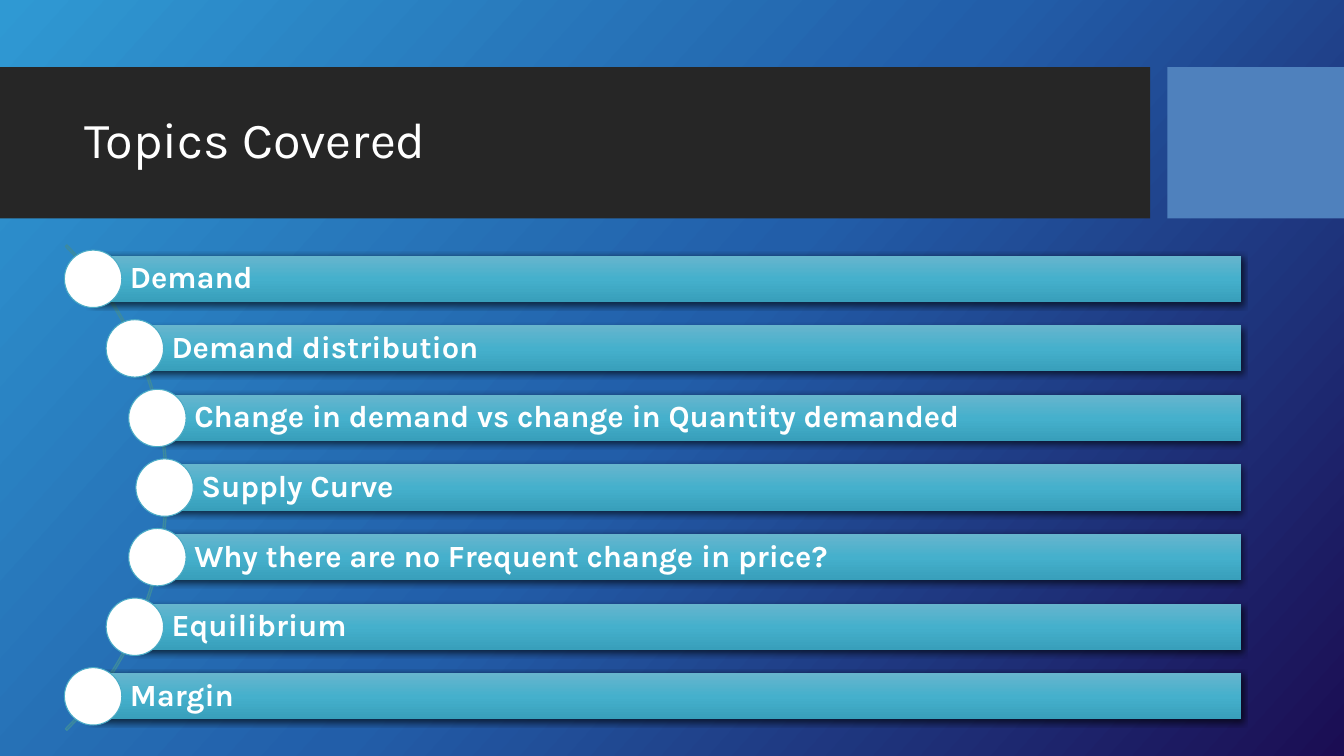
from copy import deepcopy
from dataclasses import dataclass
from math import sqrt

from lxml import etree
from pptx import Presentation
from pptx.dml.color import RGBColor
from pptx.enum.shapes import MSO_SHAPE
from pptx.enum.text import MSO_ANCHOR, PP_ALIGN
from pptx.oxml.ns import qn
from pptx.shapes.autoshape import Shape
from pptx.slide import Slide
from pptx.text.text import TextFrame
from pptx.util import Pt

RECTANGLE = MSO_SHAPE.RECTANGLE
OVAL = MSO_SHAPE.OVAL
BLOCK_ARC = MSO_SHAPE.BLOCK_ARC
LEFT = PP_ALIGN.LEFT
MIDDLE = MSO_ANCHOR.MIDDLE
TITLE_ONLY_LAYOUT = 5


@dataclass(frozen=True)
class Theme:
    font: str = "Karla"
    title_size: float = 36
    topic_size: float = 22
    text: str = "FFFFFF"
    band: str = "262626"
    accent: str = "4F81BD"
    arc_line: str = "3C8A9F"
    dot_fill: str = "FFFFFF"
    dot_line: str = "4BACC6"
    shadow: str = "000000"
    background: tuple[str, ...] = ("2F99D3", "225EA9", "1B0D53")
    bar: tuple[str, ...] = ("67B5CD", "45B0CC", "389FBB")


@dataclass(frozen=True)
class Box:
    left: float
    top: float
    width: float
    height: float


@dataclass(frozen=True)
class Topic:
    text: str
    center_x: float
    center_y: float


THEME = Theme()
BANDS = (
    (Box(0, 48, 821.5, 108), THEME.band),
    (Box(833.8, 48, 126.2, 108), THEME.accent),
)
TITLE_BOX = Box(53.3, 59, 756.7, 85)
TOPIC_TEXTS = (
    "Demand",
    "Demand distribution",
    "Change in demand vs change in Quantity demanded",
    "Supply Curve",
    "Why there are no Frequent change in price?",
    "Equilibrium",
    "Margin",
)
ARC_X, ARC_Y = -125.6, 348.3
ARC_SIZE = 490.3
DOT_TRACK_RADIUS = 243.2
TOPIC_STEP = 49.7
BAR_RIGHT, BAR_HEIGHT = 886.5, 33
DOT_SIZE = 41


def place(shape: Shape, box: Box) -> None:
    shape.left, shape.top = Pt(box.left), Pt(box.top)
    shape.width, shape.height = Pt(box.width), Pt(box.height)


def add_plain_shape(slide: Slide, kind: MSO_SHAPE, box: Box) -> Shape:
    """Add a shape with no fill, line or shadow."""
    shape = slide.shapes.add_shape(
        kind, Pt(box.left), Pt(box.top), Pt(box.width), Pt(box.height)
    )
    shape.shadow.inherit = False
    shape.fill.background()
    shape.line.fill.background()
    return shape


def fill_solid(shape: Shape, color: str) -> None:
    shape.fill.solid()
    shape.fill.fore_color.rgb = RGBColor.from_string(color)


def outline(shape: Shape, color: str, width: float) -> None:
    shape.line.color.rgb = RGBColor.from_string(color)
    shape.line.width = Pt(width)


def fill_gradient(owner: Slide | Shape, colors: tuple[str, ...], angle: float) -> None:
    """Spread three colours evenly, at a clockwise angle."""
    fill = owner.background.fill if isinstance(owner, Slide) else owner.fill
    fill.gradient()
    stops = owner.element.find(".//" + qn("a:gsLst"))
    stops.insert(1, deepcopy(stops[0]))
    for index, (stop, color) in enumerate(zip(fill.gradient_stops, colors)):
        stop.color.rgb = RGBColor.from_string(color)
        stop.position = index / (len(colors) - 1)
    fill.gradient_angle = 360 - angle


def add_shadow(shape: Shape) -> None:
    effects = shape.element.spPr.find(qn("a:effectLst"))
    shadow = etree.SubElement(
        effects,
        qn("a:outerShdw"),
        blurRad=str(Pt(4.5)),
        dist=str(Pt(1.5)),
        dir="5400000",
        rotWithShape="0",
    )
    color = etree.SubElement(shadow, qn("a:srgbClr"), val=THEME.shadow)
    etree.SubElement(color, qn("a:alpha"), val="63000")


def write(frame: TextFrame, text: str, size: float, bold: bool) -> None:
    frame.text = text
    frame.word_wrap = True
    frame.vertical_anchor = MIDDLE
    para = frame.paragraphs[0]
    para.alignment = LEFT
    para.line_spacing = 0.9
    para.font.name = THEME.font
    para.font.size = Pt(size)
    para.font.bold = bold
    para.font.color.rgb = RGBColor.from_string(THEME.text)


def add_header(slide: Slide) -> None:
    for box, color in BANDS:
        fill_solid(add_plain_shape(slide, RECTANGLE, box), color)
    title = slide.shapes.title
    place(title, TITLE_BOX)
    write(title.text_frame, "Topics Covered", THEME.title_size, False)
    title.element.getparent().append(title.element)  # in front of the band


def add_arc(slide: Slide) -> None:
    half = ARC_SIZE / 2
    box = Box(ARC_X - half, ARC_Y - half, ARC_SIZE, ARC_SIZE)
    arc = add_plain_shape(slide, BLOCK_ARC, box)
    for index, value in enumerate((189, 27, 0.003)):
        arc.adjustments[index] = value
    outline(arc, THEME.arc_line, 1)


def topics_on_arc() -> list[Topic]:
    """Space the topics evenly down the slide, each centred on the arc."""
    topics = []
    for index, text in enumerate(TOPIC_TEXTS):
        offset = (index - (len(TOPIC_TEXTS) - 1) / 2) * TOPIC_STEP
        reach = sqrt(DOT_TRACK_RADIUS**2 - offset**2)
        topics.append(Topic(text, ARC_X + reach, ARC_Y + offset))
    return topics


def add_topic(slide: Slide, topic: Topic) -> None:
    x, y = topic.center_x, topic.center_y
    bar = add_plain_shape(
        slide, RECTANGLE, Box(x, y - BAR_HEIGHT / 2, BAR_RIGHT - x, BAR_HEIGHT)
    )
    fill_gradient(bar, THEME.bar, 90)
    add_shadow(bar)
    frame = bar.text_frame
    frame.margin_left = Pt(26.3)
    frame.margin_top = frame.margin_right = frame.margin_bottom = Pt(4.4)
    write(frame, topic.text, THEME.topic_size, True)

    half = DOT_SIZE / 2
    dot = add_plain_shape(slide, OVAL, Box(x - half, y - half, DOT_SIZE, DOT_SIZE))
    fill_solid(dot, THEME.dot_fill)
    outline(dot, THEME.dot_line, 0.75)


def main() -> None:
    deck = Presentation()
    deck.slide_width, deck.slide_height = Pt(960), Pt(540)
    page = deck.slides.add_slide(deck.slide_layouts[TITLE_ONLY_LAYOUT])
    fill_gradient(page, THEME.background, 42)
    add_header(page)
    add_arc(page)
    for topic in topics_on_arc():
        add_topic(page, topic)
    deck.save("out.pptx")


if __name__ == "__main__":
    main()
